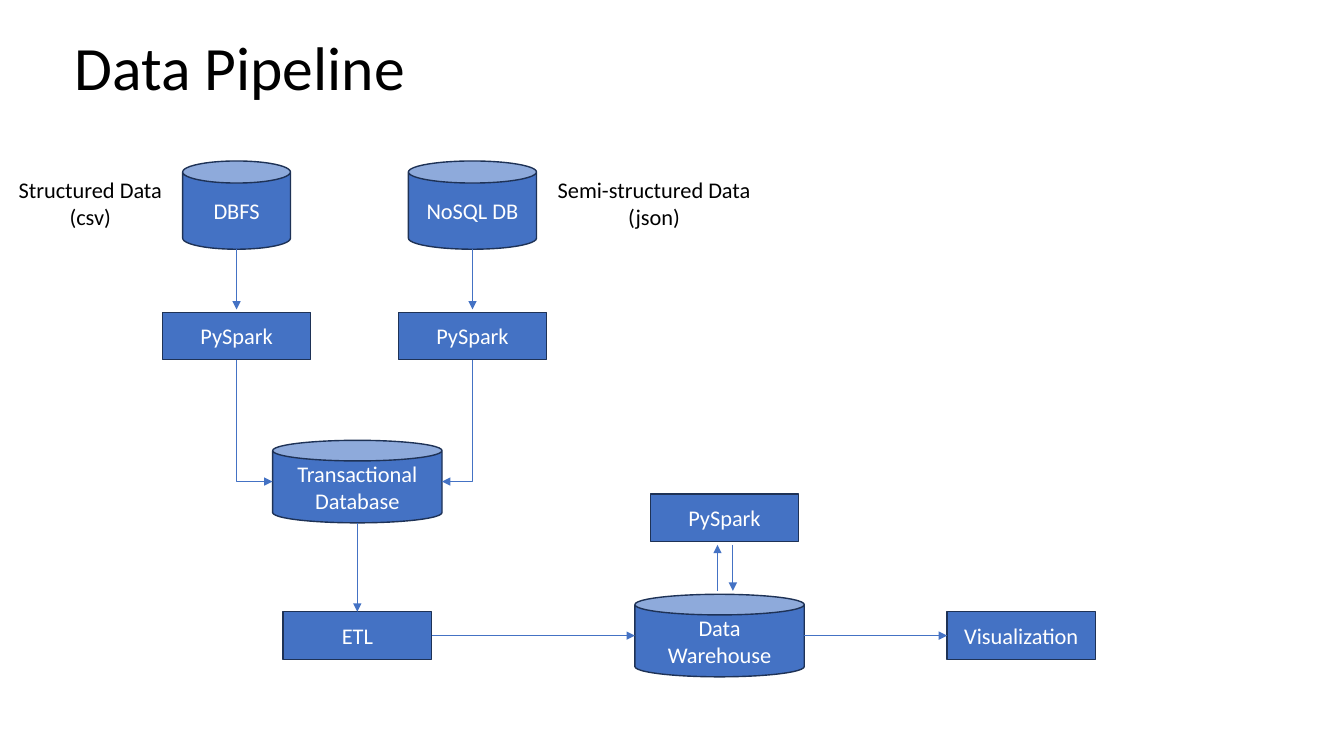
from lxml import etree
from pptx import Presentation
from pptx import util as u
from pptx.dml.color import RGBColor
from pptx.enum import shapes, text
from pptx.oxml.ns import qn

FONT = "Calibri"
BLUE, OUTLINE, WHITE, BLACK = "4472C4", "1E3256", "FFFFFF", "000000"
TITLE = "Data Pipeline"
BOX = (106, 34)
STORE = (121, 59)

# Stages: key -> (label, kind, centre x, centre y, (width, height))
STAGES = {
    "files": ("DBFS", "can", 169, 146.5, (77, 63)),
    "documents": ("NoSQL DB", "can", 337.5, 146.5, (91.5, 63)),
    "file_job": ("PySpark", "box", 169, 240, BOX),
    "document_job": ("PySpark", "box", 337.5, 240, BOX),
    "database": ("Transactional Database", "can", 255.25, 344, STORE),
    "loader": ("ETL", "box", 255.25, 454, BOX),
    "warehouse": ("Data Warehouse", "can", 514, 454, STORE),
    "warehouse_job": ("PySpark", "box", 517.5, 369.75, BOX),
    "charts": ("Visualization", "box", 729.5, 454, BOX),
}
# Captions: (lines, left, top, width, height)
CAPTIONS = [
    (["Structured Data", "(csv)"], 1.5, 122.5, 126, 46),
    (["Semi-structured Data", "(json)"], 386.5, 122.5, 161.5, 46),
]
# Flows: (from, to, gap before the arrowhead)
DOWN = [("files", "file_job", 2), ("documents", "document_job", 2),
        ("database", "loader", 0)]
ACROSS = [("loader", "warehouse"), ("warehouse", "charts")]
# Flows that turn: (from, to, side where they arrive)
JOINS = [("file_job", "database", "left"), ("document_job", "database", "right")]
EXCHANGE_X = (512.5, 523.5)  # upward arrow, downward arrow
EXCHANGE_GAP = 2.5


def color(value):
    return RGBColor.from_string(value)


def write(paragraph, words, size, ink, align):
    paragraph.alignment = align
    run = paragraph.add_run()
    run.text = words
    run.font.name = FONT
    run.font.size = u.Pt(size)
    run.font.color.rgb = color(ink)


def edge(key, side):
    """Point in the middle of one side of a stage."""
    _, _, x, y, (w, h) = STAGES[key]
    dx, dy = {"left": (-1, 0), "right": (1, 0), "top": (0, -1), "bottom": (0, 1)}[side]
    return x + dx * w / 2, y + dy * h / 2


def arrow(slide, start, end, bent=False):
    """Arrow to end; a bent one leaves vertically and arrives horizontally."""
    first, last = (end, start) if bent else (start, end)
    kind = shapes.MSO_CONNECTOR.ELBOW if bent else shapes.MSO_CONNECTOR.STRAIGHT
    flow = slide.shapes.add_connector(kind, *(u.Pt(v) for v in first + last))
    flow.line.color.rgb = color(BLUE)
    flow.line.width = u.Pt(0.5)
    props = flow._element.spPr
    if bent:
        props.find(qn("a:prstGeom")).set("prst", "bentConnector2")
    tip = "a:headEnd" if bent else "a:tailEnd"
    etree.SubElement(props.find(qn("a:ln")), qn(tip), type="triangle")
    etree.SubElement(props, qn("a:effectLst"))


def add_stage(slide, label, kind, x, y, size):
    w, h = size
    preset = shapes.MSO_SHAPE.CAN if kind == "can" else shapes.MSO_SHAPE.RECTANGLE
    stage = slide.shapes.add_shape(
        preset, u.Pt(x - w / 2), u.Pt(y - h / 2), u.Pt(w), u.Pt(h))
    stage.shadow.inherit = False
    stage.fill.solid()
    stage.fill.fore_color.rgb = color(BLUE)
    stage.line.color.rgb = color(OUTLINE)
    stage.line.width = u.Pt(1)
    frame = stage.text_frame
    frame.word_wrap = True
    frame.margin_left = frame.margin_right = u.Pt(8)
    frame.vertical_anchor = text.MSO_ANCHOR.MIDDLE
    write(frame.paragraphs[0], label, 16, WHITE, text.PP_ALIGN.CENTER)


def add_caption(slide, lines, *place):
    frame = slide.shapes.add_textbox(*(u.Pt(v) for v in place)).text_frame
    frame.word_wrap = True
    for i, line in enumerate(lines):
        paragraph = frame.add_paragraph() if i else frame.paragraphs[0]
        write(paragraph, line, 16, BLACK, text.PP_ALIGN.CENTER)


def main():
    deck = Presentation()
    deck.slide_width, deck.slide_height = u.Pt(960), u.Pt(540)
    slide = deck.slides.add_slide(deck.slide_layouts[5])

    # Title
    title = slide.shapes.title
    title.left, title.top, title.width, title.height = (
        u.Pt(v) for v in (46, 18.5, 828, 63.5))
    title.text_frame.auto_size = text.MSO_AUTO_SIZE.NONE
    title.text_frame.vertical_anchor = text.MSO_ANCHOR.MIDDLE
    heading = title.text_frame.paragraphs[0]
    heading.line_spacing = 0.9
    write(heading, TITLE, 44, BLACK, text.PP_ALIGN.LEFT)

    # Stages and captions
    for stage in STAGES.values():
        add_stage(slide, *stage)
    for caption in CAPTIONS:
        add_caption(slide, *caption)

    # Straight flows
    for source, target, gap in DOWN:
        x, y = edge(target, "top")
        arrow(slide, edge(source, "bottom"), (x, y - gap))
    for source, target in ACROSS:
        arrow(slide, edge(source, "right"), edge(target, "left"))

    # Flows that turn into the database
    for source, target, side in JOINS:
        arrow(slide, edge(source, "bottom"), edge(target, side), bent=True)

    # Exchange between the warehouse and its job
    upper = edge("warehouse_job", "bottom")[1] + EXCHANGE_GAP
    lower = edge("warehouse", "top")[1] - EXCHANGE_GAP
    up_x, down_x = EXCHANGE_X
    arrow(slide, (up_x, lower), (up_x, upper))
    arrow(slide, (down_x, upper), (down_x, lower))

    deck.save("out.pptx")


if __name__ == "__main__":
    main()
